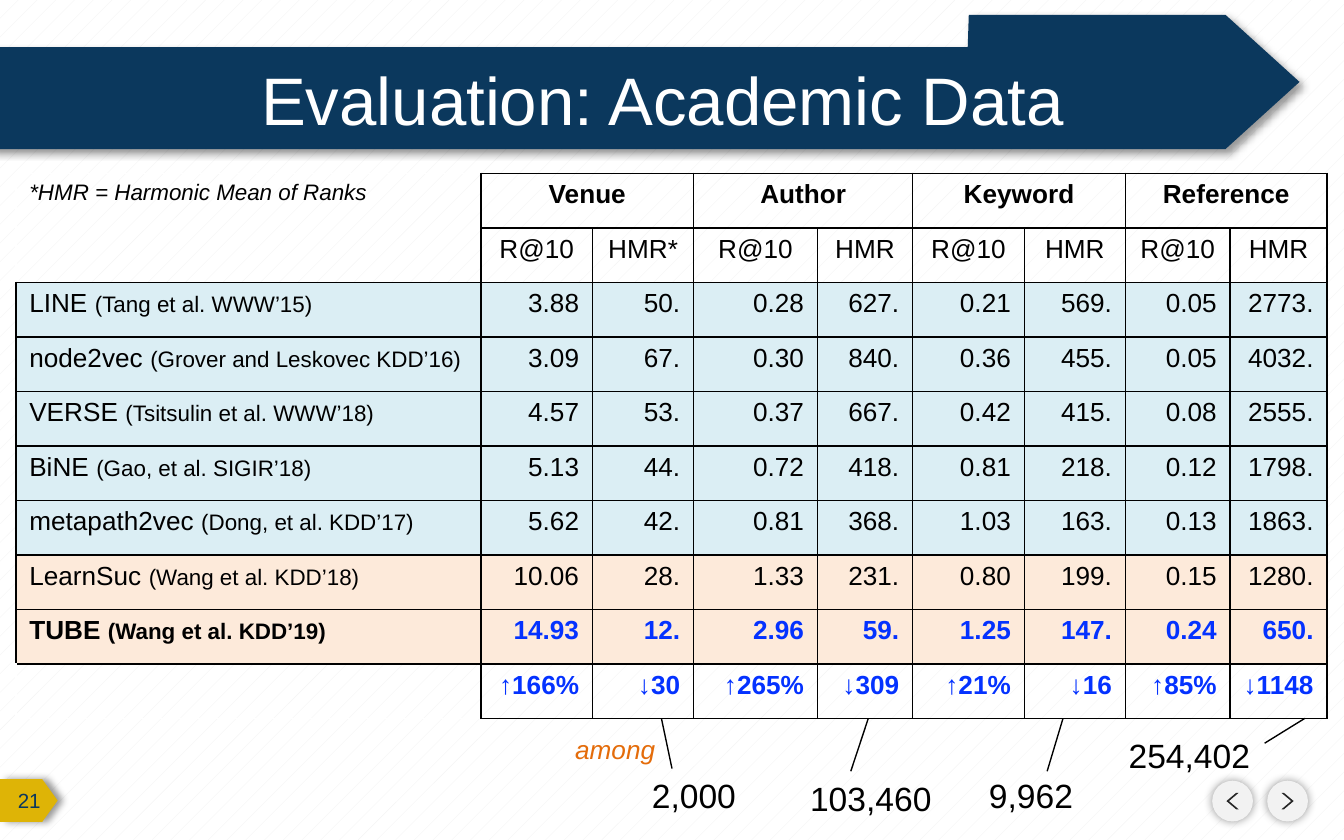
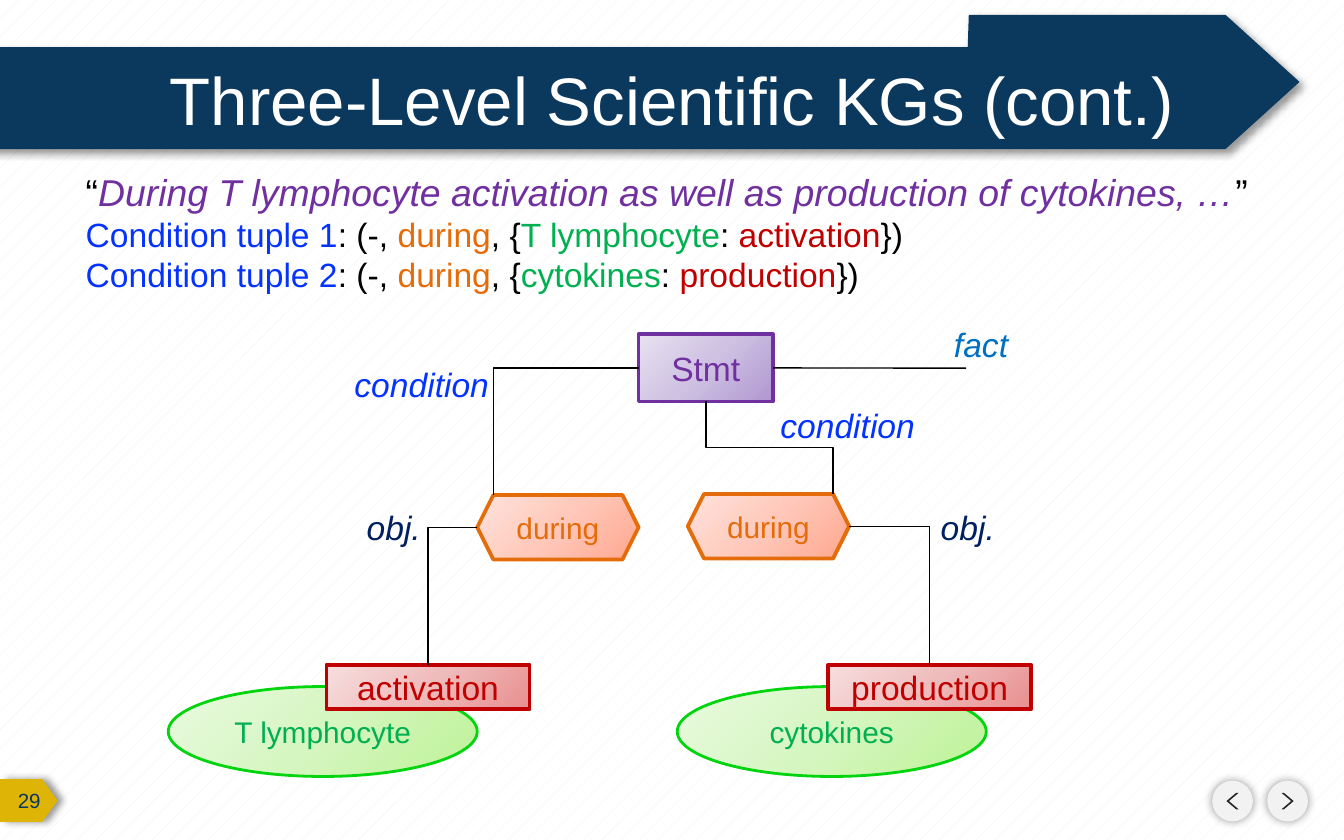
from copy import deepcopy
from pptx import Presentation
from pptx.dml.color import RGBColor
from pptx.enum.dml import MSO_PATTERN as Pattern
from pptx.enum.shapes import MSO_CONNECTOR as Link, MSO_SHAPE as Kind
from pptx.enum.text import MSO_ANCHOR as Anchor, MSO_AUTO_SIZE as Fit, PP_ALIGN as Align
from pptx.oxml.ns import qn
from pptx.util import Cm, Pt
from lxml.etree import SubElement

# Theme: colours, gradients (dark to light), type sizes
THEME = {
    "font": "Arial",
    "navy": "0B385D", "gold": "DEB406", "white": "FFFFFF", "pale": "F2F2F2",
    "coal": "262626", "black": "000000", "blue": "0432FF", "orange": "E46C0A",
    "purple": "7030A0", "green": "00B050", "lime": "02D40E", "red": "C00000",
    "sky": "0070C0", "ink": "012060", "ice": "DBEEF4", "peach": "FDEADA",
    "fade": {"green": ("BEF297", "D5F6C0", "EAFAE0"),
             "orange": ("FFA78E", "FFC8BA", "FFE3DD"),
             "red": ("E98F8F", "EFBCBC", "F7DEDE"),
             "purple": ("B197D2", "CEC1E2", "E7E1F0")},
    "size": {"title": 36, "quote": 20, "main": 18, "node": 16,
             "cell": 14, "cite": 12, "page": 11},
}

# Content: evaluation table
TITLES = ("Evaluation: Academic Data ", "Three-Level Scientific KGs (cont.)")
PAGES = ("21", "29")
NOTE = "*HMR = Harmonic Mean of Ranks"
GROUPS = ("Venue", "Author", "Keyword", "Reference")
HEADS = ("R@10", "HMR*") + ("R@10", "HMR") * 3
METHODS = [
    ("LINE", "Tang et al. WWW’15", "3.88 50. 0.28 627. 0.21 569. 0.05 2773."),
    ("node2vec", "Grover and Leskovec KDD’16", "3.09 67. 0.30 840. 0.36 455. 0.05 4032."),
    ("VERSE", "Tsitsulin et al. WWW’18", "4.57 53. 0.37 667. 0.42 415. 0.08 2555."),
    ("BiNE", "Gao, et al. SIGIR’18", "5.13 44. 0.72 418. 0.81 218. 0.12 1798."),
    ("metapath2vec", "Dong, et al. KDD’17", "5.62 42. 0.81 368. 1.03 163. 0.13 1863."),
    ("LearnSuc", "Wang et al. KDD’18", "10.06 28. 1.33 231. 0.80 199. 0.15 1280."),
    ("TUBE", "Wang et al. KDD’19", "14.93 12. 2.96 59. 1.25 147. 0.24 650."),
]
OURS = 2  # last methods, tinted peach
GAINS = "↑166% ↓30 ↑265% ↓309 ↑21% ↓16 ↑85% ↓1148".split()
WIDTHS = (8.79, 2.11, 1.91, 2.34, 1.8, 2.11, 1.91, 1.98, 1.83)
GRID = {"left": 0.3, "top": 3.28, "row": 1.03}
# total, box left, top, width, then leader: x at table, end x, end y
TOTALS = [
    ("2,000", 12.07, 14.53, 2.11, 12.5, 12.7, 14.53),
    ("103,460", 15.06, 14.58, 2.82, 16.41, 16.08, 14.58),
    ("254,402", 21.08, 13.77, 2.82, 24.66, 23.9, 14.05),
    ("9,962", 18.44, 14.53, 2.11, 20.09, 19.79, 14.58),
]

# Content: statement graph
QUOTE = "During T lymphocyte activation as well as production of cytokines, …"
TUPLES = [("1", "T lymphocyte", "activation"), ("2", "cytokines", "production")]
# key: kind, box, text, colour, line colour, line width, type size
NODES = {
    "cell": (Kind.OVAL, (3.18, 12.98, 5.84, 1.7), "T lymphocyte", "green", "lime", 1.5, "node"),
    "cyto": (Kind.OVAL, (12.8, 12.98, 5.84, 1.7), "cytokines", "green", "lime", 1.5, "node"),
    "dur1": (Kind.HEXAGON, (9.02, 9.36, 3.05, 1.22), "during", "orange", "orange", 2, "node"),
    "dur2": (Kind.HEXAGON, (13, 9.34, 3.05, 1.22), "during", "orange", "orange", 2, "node"),
    "act": (Kind.RECTANGLE, (6.17, 12.57, 3.84, 0.84), "activation", "red", "red", 2, "main"),
    "prod": (Kind.RECTANGLE, (15.65, 12.57, 3.84, 0.84), "production", "red", "red", 2, "main"),
    "stmt": (Kind.RECTANGLE, (12.07, 6.32, 2.54, 1.27), "Stmt", "purple", "purple", 2, "main"),
}
# node, site number, place on its box as share of width and height
ELBOWS = [
    (("stmt", 1, 0, 0.5), ("dur1", 4, 0.1, 0), "bentConnector2"),
    (("dur1", 3, 0, 0.5), ("act", 0, 0.5, 0), "bentConnector2"),
    (("dur2", 0, 1, 0.5), ("prod", 0, 0.5, 0), "bentConnector2"),
    (("stmt", 2, 0.5, 1), ("dur2", 5, 0.9, 0), "bentConnector3"),
]
LABELS = [
    ("fact", 17.78, 5.99, 1.55, "sky"), ("condition", 6.45, 6.76, 3.07, "blue"),
    ("condition", 14.5, 7.54, 3.07, "blue"), ("obj.", 6.68, 9.45, 1.55, "ink"),
    ("obj.", 17.53, 9.45, 1.55, "ink"),
]

# Shared parts
BAND = [(-0.2, 0.89), (18.29, 0.89), (18.31, 0.28), (23.16, 0.28),
        (24.56, 1.55), (23.16, 2.82), (-0.2, 2.82)]
NAV = ((23.95, False), (22.91, True))  # button left, arrow flipped


def put(obj, **vals):
    for key, val in vals.items():
        setattr(obj, key, val)


def tint(name):
    return RGBColor.from_string(THEME[name])


def cms(vals):
    return [Cm(v) for v in vals]


def write(para, runs, size, align=None):
    """Runs are (text, colour, format values)."""
    para.alignment = align
    for text, tone, extra in runs:
        run = para.add_run()
        run.text = text
        look = {"name": THEME["font"], "size": Pt(THEME["size"][size]), **extra}
        put(run.font, **look)
        run.font.color.rgb = tint(tone)


def label(slide, box, text, size, tone, align=None, anchor=Anchor.TOP, **extra):
    frame = slide.shapes.add_textbox(*cms(box)).text_frame
    put(frame, word_wrap=False, vertical_anchor=anchor)
    write(frame.paragraphs[0], [(text, tone, extra)], size, align)


def cast(shape, blur, dist, turn):
    glow = shape.element.spPr.find(qn("a:effectLst"))
    shade = SubElement(glow, qn("a:outerShdw"), blurRad=str(Pt(blur)),
                       dist=str(Pt(dist)), dir=str(turn * 60000), rotWithShape="0")
    tone = SubElement(shade, qn("a:srgbClr"), val=THEME["black"])
    SubElement(tone, qn("a:alpha"), val="40000")


def paint(shape, tone, shade=None):
    shape.shadow.inherit = False
    shape.fill.solid()
    shape.fill.fore_color.rgb = tint(tone)
    shape.line.fill.background()
    if shade:
        cast(shape, *shade)
    return shape


def join(slide, kind, start, end):
    line = slide.shapes.add_connector(kind, *cms(start + end))
    line.line.color.rgb = tint("black")
    line.line.width = Pt(0.75)
    SubElement(line.element.spPr, qn("a:effectLst"))
    return line


def frame(slide, layout):
    """Draw the shared parts and move them to the layout."""
    add, parts = slide.shapes.add_shape, []
    for left, _ in NAV:
        disc = add(Kind.OVAL, *cms((left, 14.76, 0.77, 0.77)))
        parts.append(paint(disc, "pale", (5, 0, 0)))
    for left, back in NAV:
        arrow = paint(add(Kind.CHEVRON, *cms((left + 0.27, 14.99, 0.23, 0.31))), "coal")
        arrow.adjustments[0] = 0.793
        if back:
            arrow.element.spPr.xfrm.set("flipH", "1")
        parts.append(arrow)
    tag = paint(add(Kind.PENTAGON, *cms((0, 14.73, 1.09, 0.81))), "gold", (4, 3, 0))
    tag.adjustments[0] = 0.36
    pen = slide.shapes.build_freeform(*cms(BAND[0]))
    pen.add_line_segments([cms(p) for p in BAND[1:]], close=True)
    parts += [tag, paint(pen.convert_to_shape(), "navy", (4, 3, 45))]
    for i, part in enumerate(parts):
        part.element.nvSpPr.cNvPr.set("id", str(100 + i))
        layout.shapes.element.insert(2 + i, part.element)


def setup(deck):
    layout = deck.slide_layouts[5]
    fill = layout.background.fill
    fill.patterned()
    fill.pattern = Pattern.PERCENT_5
    fill.fore_color.rgb, fill.back_color.rgb = tint("pale"), tint("white")
    for holder in list(layout.placeholders):
        if holder.placeholder_format.idx:
            holder.element.getparent().remove(holder.element)
    return layout


def start(deck, layout, title, page):
    slide = deck.slides.add_slide(layout)
    head = slide.shapes.title
    put(head, **dict(zip(("left", "top", "width", "height"),
                         cms((2.16, 0.97, 21.08, 1.78)))))
    put(head.text_frame, vertical_anchor=Anchor.MIDDLE, auto_size=Fit.NONE)
    write(head.text_frame.paragraphs[0], [(title, "white", {})], "title", Align.CENTER)
    label(slide, (-0.25, 14.73, 1.27, 0.81), page, "page", "navy",
          Align.RIGHT, Anchor.MIDDLE)
    return slide


def edge(cell, sides):
    props = cell._tc.get_or_add_tcPr()
    for i, side in enumerate(sides):
        line = SubElement(props, qn("a:ln" + side), w=str(Pt(1)))
        fill = SubElement(line, qn("a:solidFill"))
        SubElement(fill, qn("a:srgbClr"), val=THEME["black"])
        props.insert(i, line)


def grid(slide):
    """Rows hold (runs, size, alignment) per cell."""
    def line(texts, align, tone="black", **extra):
        return [([(t, tone, extra)], "cell", align) for t in texts]

    blank = ([], "cell", None)
    rows = [[([(NOTE, "black", {"italic": True})], "cite", None)]
            + line([t for g in GROUPS for t in (g, "")], Align.CENTER, bold=True),
            [blank] + line(HEADS, Align.CENTER)]
    for name, cite, vals in METHODS:
        best = name == METHODS[-1][0]
        small = {"bold": best, "size": Pt(THEME["size"]["cite"])}
        runs = [(name + " ", "black", {"bold": best}), (f"({cite})", "black", small)]
        rows.append([(runs, "cell", None)]
                    + line(vals.split(), Align.RIGHT, "blue" if best else "black", bold=best))
    rows.append([blank] + line(GAINS, Align.RIGHT, "blue", bold=True))

    high, last = GRID["row"] * len(rows), len(rows) - 1
    box = cms((GRID["left"], GRID["top"], sum(WIDTHS), high))
    table = slide.shapes.add_table(len(rows), len(WIDTHS), *box).table
    put(table, first_row=False, horz_banding=False)
    for col, wide in zip(table.columns, WIDTHS):
        col.width = Cm(wide)
    for r, row in enumerate(rows):
        table.rows[r].height = Cm(GRID["row"])
        for c, (runs, size, align) in enumerate(row):
            cell = table.cell(r, c)
            if 2 <= r < last:
                cell.fill.solid()
                cell.fill.fore_color.rgb = tint("peach" if r >= last - OURS else "ice")
            else:
                cell.fill.background()
            corner = {0: "R", 1: "RB", last: "RT"}.get(r) if c == 0 else None
            edge(cell, corner or "LRTB")
            write(cell.text_frame.paragraphs[0], [x for x in runs if x[0]], size, align)
    table.cell(0, 0).merge(table.cell(1, 0))
    for c in range(1, len(WIDTHS), 2):
        table.cell(0, c).merge(table.cell(0, c + 1))
    return GRID["top"] + high


def scores(slide):
    foot = grid(slide)
    for text, left, top, wide, x, end, low in TOTALS:
        label(slide, (left, top, wide, 1.02), text, "main", "black")
        join(slide, Link.STRAIGHT, (x, foot), (end, low))
    label(slide, (10.62, 13.74, 2.03, 0.86), "among", "cell", "orange", italic=True)


def node(slide, kind, box, text, tone, rim, wide, size):
    shape = slide.shapes.add_shape(kind, *cms(box))
    shape.shadow.inherit = False
    shape.fill.gradient()
    shape.fill.gradient_angle = 135
    stops = shape.element.spPr.find(qn("a:gradFill")).find(qn("a:gsLst"))
    stops.insert(1, deepcopy(stops[0]))
    for i, (stop, shade) in enumerate(zip(shape.fill.gradient_stops, THEME["fade"][tone])):
        stop.position = i / 2
        stop.color.rgb = RGBColor.from_string(shade)
    shape.line.color.rgb = tint(rim)
    shape.line.width = Pt(wide)
    put(shape.text_frame, vertical_anchor=Anchor.MIDDLE, word_wrap=True)
    write(shape.text_frame.paragraphs[0], [(text, tone, {})], size, Align.CENTER)
    return shape


def elbow(slide, nodes, ends, form):
    spots = []
    for key, _, fx, fy in ends:
        x, y, w, h = NODES[key][1]
        spots.append((x + w * fx, y + h * fy))
    (x1, y1), (x2, y2) = spots
    if form == "bentConnector3":  # leaves downwards: a quarter turn about the middle
        mx, my, dx, dy = (x1 + x2) / 2, (y1 + y2) / 2, (x2 - x1) / 2, (y2 - y1) / 2
        line = join(slide, Link.ELBOW, (mx + dy, my - dx), (mx - dy, my + dx))
        line.element.spPr.xfrm.set("rot", str(270 * 60000))
    else:
        line = join(slide, Link.ELBOW, *spots)
        line.element.spPr.find(qn("a:prstGeom")).set("prst", form)
    props = line.element.nvCxnSpPr.cNvCxnSpPr
    for mark, (key, site, *_) in zip(("a:stCxn", "a:endCxn"), ends):
        SubElement(props, qn(mark), id=str(nodes[key].shape_id), idx=str(site))


def graph(slide):
    # Quoted sentence and its tuples
    text = slide.shapes.add_textbox(*cms((1.37, 3.07, 22.63, 2.64))).text_frame
    text.word_wrap = True
    write(text.paragraphs[0], [("“", "black", {}), (QUOTE, "purple", {"italic": True}),
                               ("”", "black", {})], "quote")
    for num, thing, act in TUPLES:
        bits = [("Condition tuple " + num, "blue"), (": (-, ", "black"),
                ("during", "orange"), (", {", "black"), (thing, "green"),
                (": ", "black"), (act, "red"), ("})", "black")]
        write(text.add_paragraph(), [(*bit, {}) for bit in bits], "main")
    # Nodes, links and link names
    nodes = {key: node(slide, *vals) for key, vals in NODES.items()}
    for *ends, form in ELBOWS:
        elbow(slide, nodes, ends, form)
    fact = join(slide, Link.STRAIGHT, (14.61, 6.96), (18.26, 6.96))
    fact.begin_connect(nodes["stmt"], 3)
    for name, left, top, wide, tone in LABELS:
        label(slide, (left, top, wide, 1.02), name, "main", tone, italic=True)


def main():
    deck = Presentation()
    put(deck, slide_width=Cm(25.4), slide_height=Cm(15.88))
    layout = setup(deck)
    slides = [start(deck, layout, *pair) for pair in zip(TITLES, PAGES)]
    frame(slides[0], layout)
    for slide, fill in zip(slides, (scores, graph)):
        fill(slide)
    deck.save("out.pptx")


if __name__ == "__main__":
    main()
